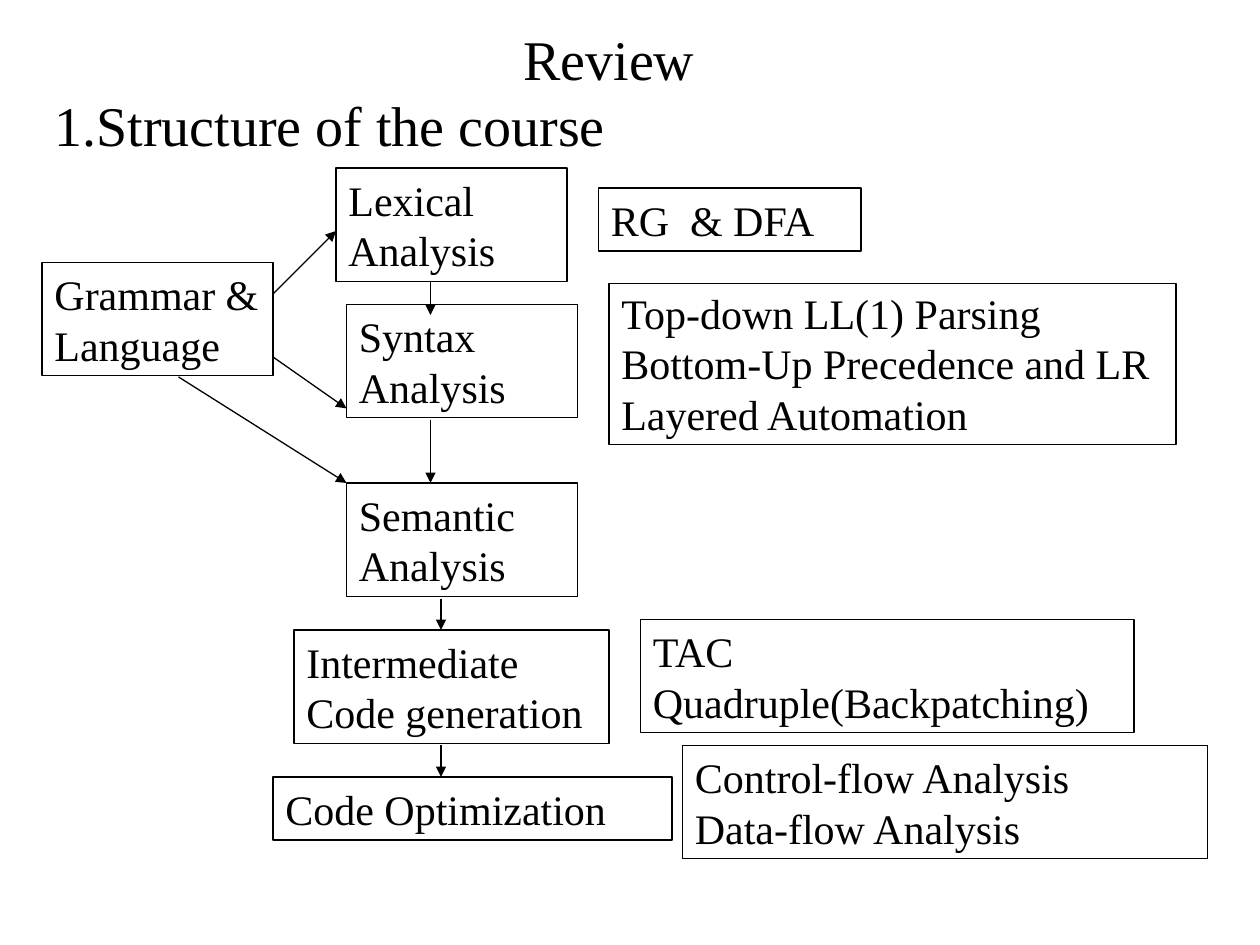
from dataclasses import dataclass

from lxml.etree import SubElement
from pptx import Presentation
from pptx.dml.color import RGBColor
from pptx.enum.shapes import MSO_CONNECTOR as Conn, MSO_SHAPE as Shape
from pptx.enum.text import MSO_ANCHOR as Anchor, PP_ALIGN as Align
from pptx.oxml.ns import qn
from pptx.util import Inches, Pt

COLORS = {"ink": "000000", "paper": "FFFFFF"}
FONT = "Times New Roman"
COLS, ROWS = 120, 90
LEADING = 1.2
LINE_WIDTH = 0.75
STAGE_W, ONE_LINE, TWO_LINES, THREE_LINES = 22, 6, 10.8, 15.36


@dataclass(frozen=True)
class Box:
    col: float
    row: float
    cols: float
    rows: float
    lines: tuple[str, ...]
    spacing: float = 1.0
    before: float = 0


@dataclass(frozen=True)
class Heading:
    col: float
    row: float
    cols: float
    rows: float
    text: str
    align: Align
    anchor: Anchor


@dataclass(frozen=True)
class Arrow:
    start: tuple[float, float]
    end: tuple[float, float]


HEADINGS = [
    Heading(9, 2, 98, 7, "Review", Align.CENTER, Anchor.MIDDLE),
    Heading(4, 8, 108, 70, "1.Structure of the course", Align.LEFT, Anchor.TOP),
]

STAGES = [
    Box(32, 16, STAGE_W, TWO_LINES, ("Lexical Analysis",)),
    Box(33, 29, STAGE_W, TWO_LINES, ("Syntax Analysis",)),
    Box(4, 25, STAGE_W, TWO_LINES, ("Grammar & Language",)),
    Box(33, 46, STAGE_W, TWO_LINES, ("Semantic Analysis",)),
    Box(28, 60, 30, TWO_LINES, ("Intermediate Code generation",)),
    Box(26, 74, 38, ONE_LINE, ("Code Optimization",)),
]

TOPICS = [
    Box(57, 17.9, 25, ONE_LINE, ("RG  & DFA",)),
    Box(58, 27, 54, THREE_LINES,
        ("Top-down LL(1) Parsing", "Bottom-Up Precedence and LR",
         "Layered Automation"), 0.95, 1.5),
    Box(61, 59, 47, TWO_LINES, ("TAC", "Quadruple(Backpatching)")),
    Box(65, 71, 50, TWO_LINES, ("Control-flow Analysis", "Data-flow Analysis")),
]

ARROWS = [
    Arrow((26, 28), (32, 22)),
    Arrow((26, 34), (33, 38.9)),
    Arrow((17, 35.9), (33, 46)),
    Arrow((41, 26.9), (41, 30)),
    Arrow((41, 40), (41, 46)),
    Arrow((42, 57), (42, 60)),
    Arrow((42, 71), (42, 74)),
]

prs = Presentation()
prs.slide_width, prs.slide_height = Inches(10), Inches(7.5)


def x(col: float) -> int:
    return round(prs.slide_width * col / COLS)


def y(row: float) -> int:
    return round(prs.slide_height * row / ROWS)


def color(name: str) -> RGBColor:
    return RGBColor.from_string(COLORS[name])


def apply(target, **formats) -> None:
    for name, value in formats.items():
        setattr(target, name, value)


def write(tf, lines: tuple[str, ...], size: float, align: Align, anchor: Anchor,
          spacing: float = 1.0, before: float = 0) -> None:
    apply(tf, word_wrap=True, vertical_anchor=anchor,
          margin_left=Inches(0.1), margin_right=Inches(0.1),
          margin_top=Inches(0.05), margin_bottom=Inches(0.05))
    for i, line in enumerate(lines):
        p = tf.add_paragraph() if i else tf.paragraphs[0]
        apply(p, alignment=align, line_spacing=Pt(size * LEADING * spacing),
              space_before=Pt(before if i else 0))
        r = p.add_run()
        r.text = line
        apply(r.font, name=FONT, size=Pt(size))
        r.font.color.rgb = color("ink")


def draw_heading(s, h: Heading) -> None:
    sp = s.shapes.add_textbox(x(h.col), y(h.row), x(h.cols), y(h.rows))
    write(sp.text_frame, (h.text,), 32, h.align, h.anchor)


def draw_box(s, b: Box) -> None:
    sp = s.shapes.add_shape(Shape.RECTANGLE, x(b.col), y(b.row), x(b.cols), y(b.rows))
    sp.shadow.inherit = False
    sp.fill.background()
    sp.line.color.rgb = color("ink")
    sp.line.width = Pt(LINE_WIDTH)
    write(sp.text_frame, b.lines, 24, Align.LEFT, Anchor.TOP, b.spacing, b.before)


def draw_arrow(s, a: Arrow) -> None:
    (c1, r1), (c2, r2) = a.start, a.end
    sp = s.shapes.add_connector(Conn.STRAIGHT, x(c1), y(r1), x(c2), y(r2))
    sp.line.color.rgb = color("ink")
    sp.line.width = Pt(LINE_WIDTH)
    props = sp._element.spPr
    SubElement(props.find(qn("a:ln")), qn("a:tailEnd"), type="triangle")
    SubElement(props, qn("a:effectLst"))


def main() -> None:
    s = prs.slides.add_slide(prs.slide_layouts[6])
    s.background.fill.solid()
    s.background.fill.fore_color.rgb = color("paper")
    for heading in HEADINGS:
        draw_heading(s, heading)
    for box in STAGES + TOPICS:
        draw_box(s, box)
    for arrow in ARROWS:
        draw_arrow(s, arrow)
    prs.save("out.pptx")


if __name__ == "__main__":
    main()
